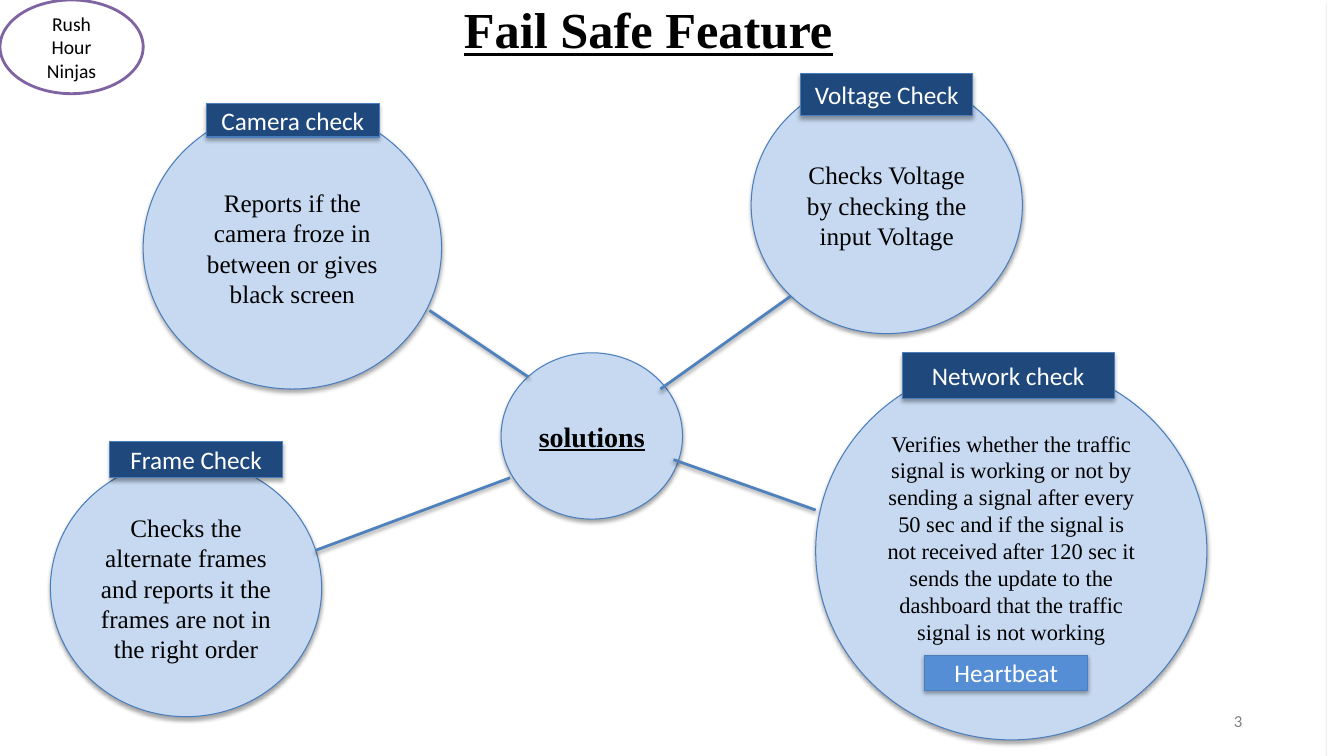
from dataclasses import dataclass

import pptx
import pptx.dml.color
import pptx.enum.shapes
import pptx.enum.text
import pptx.oxml
import pptx.oxml.ns
import pptx.util

PX = 9144  # EMU per px, 100 px to the inch
SERIF, SANS = "Times New Roman", "Calibri"
BLACK, WHITE = "000000", "FFFFFF"
PALE, NAVY, SKY = "C6D9F1", "1F497D", "558ED5"
OUTLINE, LINK, PURPLE = "4B7EBC", "4F81BD", "8064A2"
OVAL = pptx.enum.shapes.MSO_SHAPE.OVAL
RECT = pptx.enum.shapes.MSO_SHAPE.RECTANGLE
ALIGN = pptx.enum.text.PP_ALIGN


@dataclass
class Node:
    box: tuple[int, int, int, int]
    text: str
    size: int = 18
    fill: str = PALE
    kind: int = OVAL
    font: str = SERIF
    color: str = BLACK
    outline: str = OUTLINE
    weight: float = 0.75
    strong: bool = False
    shadow: bool = True
    bottom: int = 5  # lower text inset


@dataclass
class Link:
    start: tuple[int, int]
    end: tuple[int, int]


def px(*values: int) -> list[int]:
    return [pptx.util.Emu(v * PX) for v in values]


def rgb(value: str) -> pptx.dml.color.RGBColor:
    return pptx.dml.color.RGBColor.from_string(value)


def add_shadow(shape, dist: float, alpha: int) -> None:
    blur, away = pptx.util.Pt(3.1), pptx.util.Pt(dist)
    shape._element.spPr.append(pptx.oxml.parse_xml(
        f'<a:effectLst {pptx.oxml.ns.nsdecls("a")}>'
        f'<a:outerShdw blurRad="{blur}" dist="{away}" dir="5400000" rotWithShape="0">'
        f'<a:srgbClr val="{BLACK}"><a:alpha val="{alpha * 1000}"/></a:srgbClr>'
        '</a:outerShdw></a:effectLst>'))


def write(tf, text: str, size: int, font: str, color: str,
          align: int = ALIGN.CENTER, strong: bool = False) -> None:
    tf.word_wrap = True
    tf.auto_size = pptx.enum.text.MSO_AUTO_SIZE.NONE
    tf.vertical_anchor = pptx.enum.text.MSO_ANCHOR.MIDDLE
    tf.text = text
    for p in tf.paragraphs:
        p.alignment = align
        p.font.size = pptx.util.Pt(size)
        p.font.name = font
        p.font.color.rgb = rgb(color)
        p.font.bold = strong
        p.font.underline = strong


def add_node(s, node: Node) -> None:
    sp = s.shapes.add_shape(node.kind, *px(*node.box))
    sp.fill.solid()
    sp.fill.fore_color.rgb = rgb(node.fill)
    sp.line.color.rgb = rgb(node.outline)
    sp.line.width = pptx.util.Pt(node.weight)
    if node.shadow:
        add_shadow(sp, 1.8, 35)
    else:
        sp.shadow.inherit = False
    if node.text:
        sp.text_frame.margin_bottom = px(node.bottom)[0]
        write(sp.text_frame, node.text, node.size, node.font, node.color,
              strong=node.strong)


def add_link(s, link: Link) -> None:
    line = s.shapes.add_connector(pptx.enum.shapes.MSO_CONNECTOR.STRAIGHT,
                                  *px(*link.start, *link.end))
    line.line.color.rgb = rgb(LINK)
    line.line.width = pptx.util.Pt(2)
    add_shadow(line, 1.6, 38)


def label(box: tuple[int, int, int, int], text: str, fill: str = NAVY) -> Node:
    return Node(box, text, fill=fill, kind=RECT, font=SANS, color=WHITE)


NODES = [
    # Team badge
    Node((0, 0, 142, 93), "Rush\nHour\nNinjas", 14, WHITE, font=SANS,
         outline=PURPLE, weight=2, shadow=False),
    # Hub and checks
    Node((497, 350, 180, 165), "solutions", 20, strong=True),
    Node((745, 76, 269, 255), "Checks Voltage by checking the input Voltage"),
    Node((809, 359, 388, 375),
         "Verifies whether the traffic signal is working or not by sending a "
         "signal after every 50 sec and if the signal is not received after "
         "120 sec it sends the update to the dashboard that the traffic signal "
         "is not working", 16, bottom=32),
    Node((50, 456, 269, 255),
         "Checks the alternate frames and reports it the frames are not in "
         "the right order"),
    Node((142, 106, 296, 280),
         "Reports if the camera froze in between or gives black screen"),
    # Labels
    label((794, 73, 171, 42), "Voltage Check"),
    label((109, 438, 171, 36), "Frame Check"),
    label((205, 103, 171, 33), "Camera check"),
    label((895, 350, 210, 45), "Network check"),
    label((917, 650, 162, 35), "Heartbeat", SKY),
    # Right edge strip
    Node((1317, 0, 16, 750), "", fill=WHITE, kind=RECT, outline=WHITE),
]

LINKS = [
    Link((655, 386), (784, 294)),
    Link((668, 456), (809, 506)),
    Link((426, 308), (524, 374)),
    Link((506, 474), (313, 546)),
]


def main() -> None:
    prs = pptx.Presentation()
    prs.slide_width, prs.slide_height = px(1333, 750)
    s = prs.slides.add_slide(prs.slide_layouts[5])

    # Title
    title = s.shapes.title
    title.left, title.top, title.width, title.height = px(83, 4, 1120, 49)
    write(title.text_frame, "Fail Safe Feature", 36, SERIF, BLACK, strong=True)

    # Diagram
    for node in NODES:
        add_node(s, node)
    for link in LINKS:
        add_link(s, link)

    # Page number
    number = s.shapes.add_textbox(*px(942, 695, 300, 40))
    write(number.text_frame, "3", 12, SANS, "808080", ALIGN.RIGHT)

    prs.save("out.pptx")


if __name__ == "__main__":
    main()
